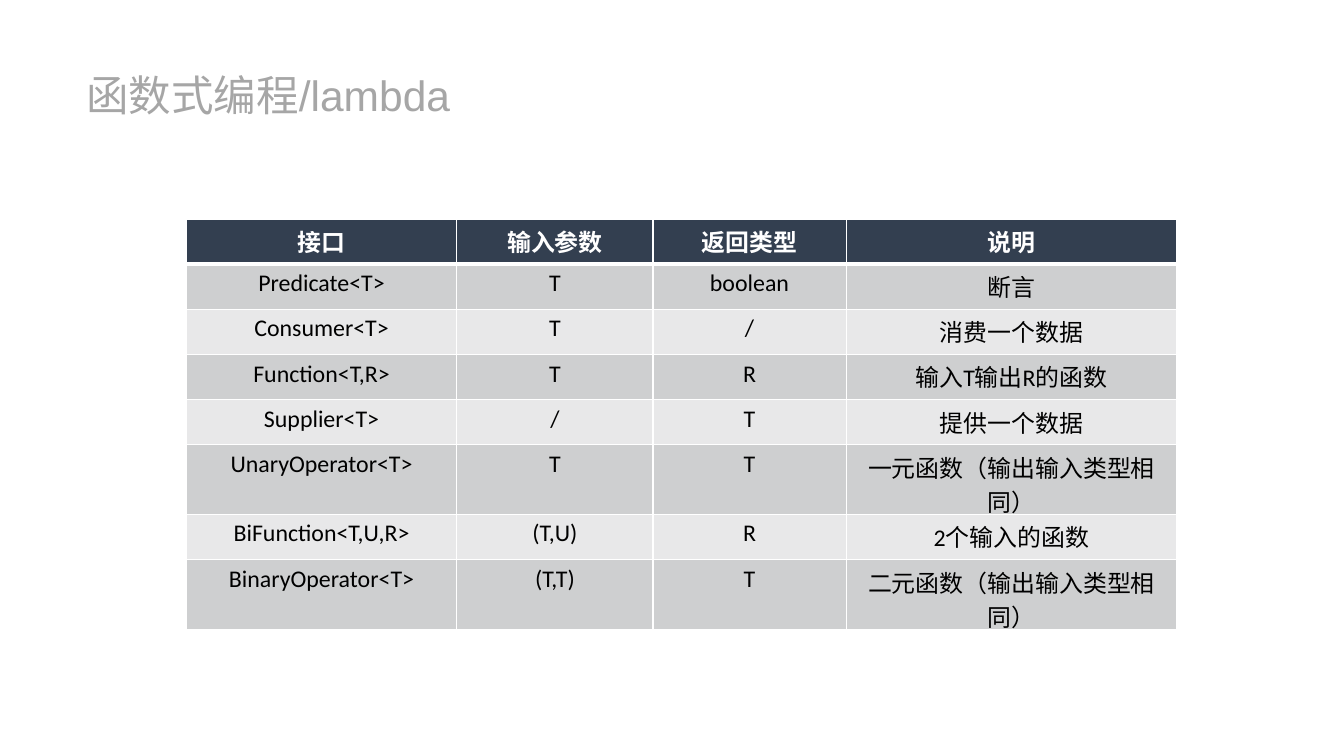
from lxml import etree
from pptx import Presentation
from pptx.dml.color import RGBColor
from pptx.enum import text
from pptx.oxml import ns
from pptx.util import Cm, Pt

WHITE = RGBColor(0xFF, 0xFF, 0xFF)
BLACK = RGBColor(0x00, 0x00, 0x00)
TITLE_GREY = RGBColor(0xA6, 0xA6, 0xA6)
HEADER_NAVY = RGBColor(0x33, 0x3F, 0x50)
BANDS = [RGBColor(0xE8, 0xE8, 0xE9), RGBColor(0xCE, 0xCF, 0xD0)]

COLUMN_WIDTHS = [7.19, 5.21, 5.13, 8.79]
ROW_HEIGHT, TALL_ROW_HEIGHT = 1.2, 1.85
TALL_ROWS = (5, 7)
INTERFACES = [
    ("接口", "输入参数", "返回类型", "说明"),
    ("Predicate<T>", "T", "boolean", "断言"),
    ("Consumer<T>", "T", "/", "消费一个数据"),
    ("Function<T,R>", "T", "R", "输入T输出R的函数"),
    ("Supplier<T>", "/", "T", "提供一个数据"),
    ("UnaryOperator<T>", "T", "T", "一元函数（输出输入类型相同）"),
    ("BiFunction<T,U,R>", "(T,U)", "R", "2个输入的函数"),
    ("BinaryOperator<T>", "(T,T)", "T", "二元函数（输出输入类型相同）"),
]


def write(frame, words, alignment, color, **font_format):
    paragraph = frame.paragraphs[0]
    paragraph.alignment = alignment
    run = paragraph.add_run()
    run.text = words
    run.font.color.rgb = color
    for name, value in font_format.items():
        setattr(run.font, name, value)


def add_border(cell, side, points):
    properties = cell._tc.get_or_add_tcPr()
    line = etree.SubElement(properties, ns.qn(f"a:ln{side}"), w=str(Pt(points)))
    fill = etree.SubElement(line, ns.qn("a:solidFill"))
    etree.SubElement(fill, ns.qn("a:srgbClr"), val=str(WHITE))


presentation = Presentation()
presentation.slide_width, presentation.slide_height = Cm(35.71), Cm(20.09)
slide = presentation.slides.add_slide(presentation.slide_layouts[5])

# Title
title = slide.shapes.title
title_place = {"left": Cm(2.29), "top": Cm(1.83), "width": Cm(10.97), "height": Cm(1.37)}
for name, value in title_place.items():
    setattr(title, name, value)
frame_format = {
    "margin_left": 0, "margin_top": 0, "margin_right": 0, "margin_bottom": 0,
    "word_wrap": True,
    "vertical_anchor": text.MSO_ANCHOR.MIDDLE,
    "auto_size": text.MSO_AUTO_SIZE.SHAPE_TO_FIT_TEXT,
}
for name, value in frame_format.items():
    setattr(title.text_frame, name, value)
write(title.text_frame, "函数式编程/lambda", text.PP_ALIGN.LEFT, TITLE_GREY,
      name="Arial", size=Pt(32))

# Table grid
row_heights = [TALL_ROW_HEIGHT if row in TALL_ROWS else ROW_HEIGHT
               for row in range(len(INTERFACES))]
table = slide.shapes.add_table(
    len(INTERFACES), len(COLUMN_WIDTHS), Cm(4.95), Cm(5.82),
    Cm(sum(COLUMN_WIDTHS)), Cm(sum(row_heights))).table
for column, width in zip(table.columns, COLUMN_WIDTHS):
    column.width = Cm(width)
for row, height in zip(table.rows, row_heights):
    row.height = Cm(height)

# Table cells: navy header, banded rows, thick rule under the header
for row_number, words_in_row in enumerate(INTERFACES):
    is_header = row_number == 0
    borders = {"L": 1, "R": 1, "T": 3 if row_number == 1 else 1, "B": 3 if is_header else 1}
    for column_number, words in enumerate(words_in_row):
        cell = table.cell(row_number, column_number)
        for side, points in borders.items():
            add_border(cell, side, points)
        cell.fill.solid()
        cell.fill.fore_color.rgb = HEADER_NAVY if is_header else BANDS[row_number % 2]
        write(cell.text_frame, words, text.PP_ALIGN.CENTER, WHITE if is_header else BLACK,
              name="Calibri", size=Pt(18), bold=is_header)

presentation.save("out.pptx")
